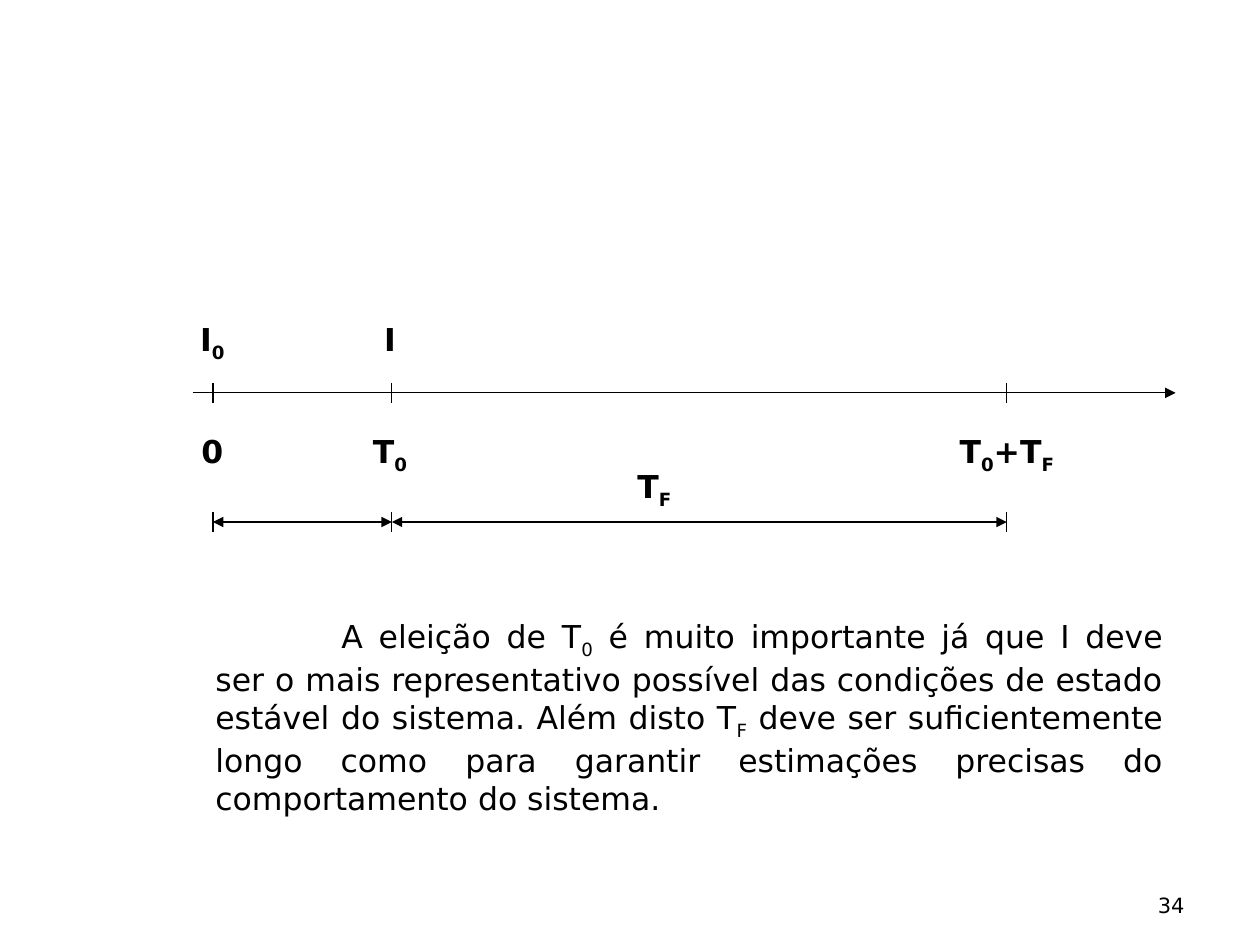
from dataclasses import dataclass

from lxml import etree
from pptx import Presentation
from pptx import util as u
from pptx.dml.color import RGBColor
from pptx.enum import shapes, text
from pptx.oxml import ns

COLOURS = {"ink": "000000", "paper": "FFFFFF"}
FONT = "DejaVu Sans"
START, WARMUP_END, RUN_END = 121.7, 223.9, 575.3
AXIS_Y, SPAN_Y = 224.5, 298.3
TICK_HALF = 5.6
ABOVE_AXIS, BELOW_AXIS, ABOVE_SPAN = 179.3, 243.4, 263.5


@dataclass
class Line:
    x1: float
    y1: float
    x2: float
    y2: float
    arrows: tuple[str, ...] = ()


@dataclass
class TextBlock:
    content: str
    left: float
    top: float
    width: float
    height: float
    size: float = 18
    bold: bool = False
    align: text.PP_ALIGN = text.PP_ALIGN.CENTER
    anchor: text.MSO_ANCHOR = text.MSO_ANCHOR.TOP
    indent: float = 0


def label(content: str, centre: float, top: float, width: float = 51) -> TextBlock:
    return TextBlock(content, centre - width / 2, top, width, 31.7, bold=True)


LINES = [
    Line(110.2, AXIS_Y, 671.8, AXIS_Y, ("tailEnd",)),
    *(
        Line(x, y - TICK_HALF, x, y + TICK_HALF)
        for y in (AXIS_Y, SPAN_Y)
        for x in (START, WARMUP_END, RUN_END)
    ),
    *(
        Line(x1, SPAN_Y, x2, SPAN_Y, ("headEnd", "tailEnd"))
        for x1, x2 in ((START, WARMUP_END), (WARMUP_END, RUN_END))
    ),
]

BODY = (
    "A eleição de T_0 é muito importante já que I deve ser o mais representativo "
    "possível das condições de estado estável do sistema. Além disto T_F deve ser "
    "suficientemente longo como para garantir estimações precisas do "
    "comportamento do sistema."
)

TEXTS = [
    label("I_0", 121.3, ABOVE_AXIS),
    label("I", 222.8, ABOVE_AXIS),
    label("0", 121.3, BELOW_AXIS),
    label("T_0", 222.8, BELOW_AXIS),
    label("T_0+T_F", 575.3, BELOW_AXIS, 73.4),
    label("T_F", 374, ABOVE_SPAN),
    TextBlock(BODY, 116, 349.2, 555.8, 121, align=text.PP_ALIGN.JUSTIFY, indent=72),
    TextBlock("34", 516.2, 491.8, 167.8, 36, size=12,
              align=text.PP_ALIGN.RIGHT, anchor=text.MSO_ANCHOR.BOTTOM),
]


def draw_line(page, line: Line) -> None:
    connector = page.shapes.add_connector(
        shapes.MSO_CONNECTOR.STRAIGHT,
        u.Pt(line.x1), u.Pt(line.y1), u.Pt(line.x2), u.Pt(line.y2),
    )
    connector.line.width = u.Pt(0.75)
    connector.line.color.rgb = RGBColor.from_string(COLOURS["ink"])
    properties = connector._element.spPr
    outline = properties.find(ns.qn("a:ln"))
    for end in line.arrows:
        etree.SubElement(outline, ns.qn(f"a:{end}"), type="triangle")
    etree.SubElement(properties, ns.qn("a:effectLst"))


def add_spans(para, content: str) -> None:
    """Add runs; the character after each underscore is a subscript."""
    first, *rest = content.split("_")
    para.add_run().text = first
    for piece in rest:
        subscript = para.add_run()
        subscript.text = piece[0]
        subscript._r.get_or_add_rPr().set("baseline", "-25000")
        if piece[1:]:
            para.add_run().text = piece[1:]


def draw_text(page, block: TextBlock) -> None:
    box = page.shapes.add_textbox(
        u.Pt(block.left), u.Pt(block.top), u.Pt(block.width), u.Pt(block.height)
    )
    frame = box.text_frame
    frame.word_wrap = True
    frame.vertical_anchor = block.anchor
    para = frame.paragraphs[0]
    para.alignment = block.align
    para.font.name = FONT
    para.font.size = u.Pt(block.size)
    para.font.bold = block.bold
    para.font.color.rgb = RGBColor.from_string(COLOURS["ink"])
    if block.indent:
        para._p.get_or_add_pPr().set("indent", str(u.Pt(block.indent)))
    add_spans(para, block.content)


def main() -> None:
    deck = Presentation()
    deck.slide_width, deck.slide_height = u.Pt(720), u.Pt(540)
    page = deck.slides.add_slide(deck.slide_layouts[6])
    page.background.fill.solid()
    page.background.fill.fore_color.rgb = RGBColor.from_string(COLOURS["paper"])
    for line in LINES:
        draw_line(page, line)
    for block in TEXTS:
        draw_text(page, block)
    deck.save("out.pptx")


if __name__ == "__main__":
    main()
